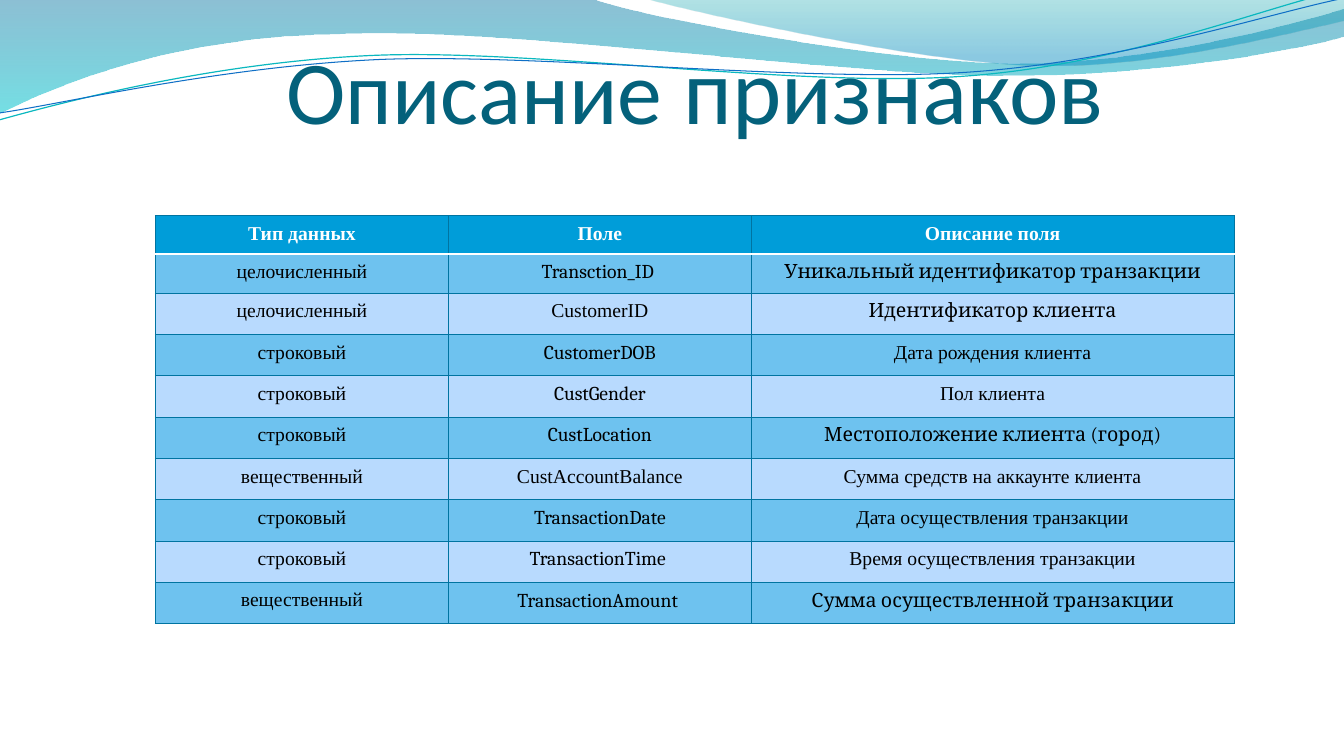
from lxml import etree
from pptx import Presentation
from pptx.dml.color import RGBColor
from pptx.enum.text import MSO_ANCHOR, MSO_AUTO_SIZE, PP_ALIGN
from pptx.oxml.ns import qn
from pptx.util import Inches, Pt

CENTER = PP_ALIGN.CENTER
BOTTOM = MSO_ANCHOR.BOTTOM
NO_AUTOFIT = MSO_AUTO_SIZE.NONE

WHITE = RGBColor(0xFF, 0xFF, 0xFF)
BLACK = RGBColor(0x00, 0x00, 0x00)
TITLE_BLUE = RGBColor(0x04, 0x61, 0x7B)
HEADER_BLUE = RGBColor(0x00, 0x9D, 0xD9)
DARK_BAND = RGBColor(0x6E, 0xC2, 0xEF)
LIGHT_BAND = RGBColor(0xB8, 0xDA, 0xFE)
BORDER_BLUE = RGBColor(0x00, 0x74, 0xA1)
CYAN = RGBColor(0x00, 0xC6, 0xCF)
TEAL = RGBColor(0x00, 0xA1, 0xA9)
SKY = RGBColor(0x00, 0x8B, 0xBF)
TEAL_LINE = RGBColor(0x0A, 0xB8, 0xBF)
BLUE_LINE = RGBColor(0x0F, 0x6F, 0xC6)

SERIF = "Times New Roman"
CAMBRIA = "Cambria"

TITLE_PARTS = [("Описание", 64), (" признаков", 67)]
HEADER = ("Тип данных", "Поле", "Описание поля")
FIELDS = [
    ("целочисленный", "Transction_ID ", "Уникальный идентификатор транзакции"),
    ("целочисленный", "CustomerID", "Идентификатор клиента"),
    ("строковый", "CustomerDOB", "Дата рождения клиента"),
    ("строковый", "CustGender", "Пол клиента"),
    ("строковый", "CustLocation", "Местоположение клиента (город)"),
    ("вещественный", "CustAccountBalance", "Сумма средств на аккаунте клиента"),
    ("строковый", "TransactionDate", "Дата осуществления транзакции"),
    ("строковый", "TransactionTime ", "Время осуществления транзакции"),
    ("вещественный", "TransactionAmount ", "Сумма осуществленной транзакции"),
]
# Rows set in Cambria, by column
CAMBRIA_ROWS = {0: (), 1: (1, 3, 4, 5, 7, 8, 9), 2: (1, 2, 5, 9)}
COLUMN_WIDTHS = (2.91, 3, 4.79)
ROW_HEIGHTS = (0.38, 0.39) + (0.41,) * 8
CELL_MARGINS = {"margin_left": 0.13, "margin_right": 0.13,
                "margin_top": 0.07, "margin_bottom": 0.07}

# A pair is a straight step; six numbers are a Bezier step
WAVES = [
    {"start": (0, 0),
     "steps": [(5.87, -0.01), (6.34, 0.17, 8.85, 0.63, 10.11, 0.63),
               (11.37, 0.63, 12.78, 0.26, 13.33, 0.09), (13.35, 0.36),
               (13.11, 0.44, 11.6, 0.76, 9.94, 0.75),
               (8.29, 0.75, 5.09, 0.28, 3.43, 0.34),
               (1.72, 0.36, 0.61, 0.83, -0.01, 1.13), (0, 0)],
     "stops": [(0, BORDER_BLUE, 45), (1, CYAN, 55)]},
    {"start": (6.39, -0.01),
     "steps": [(6.79, 0.11, 9.09, 0.62, 10.25, 0.65),
               (11.41, 0.69, 12.82, 0.32, 13.33, 0.21), (13.33, 0),
               (6.39, -0.01)],
     "stops": [(0, TEAL, 30), (0.8, SKY, 45)]},
    {"start": (-0.01, 1.19),
     "steps": [(0.64, 1.01, 2.11, 0.62, 3.69, 0.55),
               (5.27, 0.48, 7.89, 0.87, 9.5, 0.76),
               (11.1, 0.66, 12.51, 0.08, 13.31, -0.1)],
     "line": (TEAL_LINE, 0.85)},
    {"start": (0, 1.12),
     "steps": [(0.63, 1.03, 2.18, 0.66, 3.78, 0.59),
               (5.37, 0.53, 7.96, 0.82, 9.55, 0.72),
               (11.15, 0.62, 12.55, 0.14, 13.34, -0.02)],
     "line": (BLUE_LINE, 0.75)},
]


def set_all(target, values):
    for name, value in values.items():
        setattr(target, name, value)


def bend(shape, steps):
    """Join the three straight segments of each Bezier step into one curve."""
    segments = iter(shape._element.spPr.findall(".//" + qn("a:lnTo")))
    for step in steps:
        first = next(segments)
        if len(step) == 6:
            first.tag = qn("a:cubicBezTo")
            for _ in range(2):
                extra = next(segments)
                first.append(extra[0])
                extra.getparent().remove(extra)


def fill_gradient(shape, stops):
    """Fill from top to bottom with (position, colour, opacity) stops."""
    shape.fill.gradient()
    shape.fill.gradient_angle = 270
    for stop, (position, color, _) in zip(shape.fill.gradient_stops, stops):
        stop.position = position
        stop.color.rgb = color
    colors = shape._element.spPr.findall(".//" + qn("a:srgbClr"))
    for element, (_, _, opacity) in zip(colors, stops):
        etree.SubElement(element, qn("a:alpha"), val=str(opacity * 1000))


def add_wave(page, wave):
    x, y = wave["start"]
    points = [(Inches(step[i]), Inches(step[i + 1]))
              for step in wave["steps"] for i in range(0, len(step), 2)]
    filled = "stops" in wave
    builder = page.shapes.build_freeform(Inches(x), Inches(y))
    builder.add_line_segments(points, close=filled)
    shape = builder.convert_to_shape()
    bend(shape, wave["steps"])
    shape.shadow.inherit = False
    if filled:
        shape.line.fill.background()
        fill_gradient(shape, wave["stops"])
    else:
        color, width = wave["line"]
        shape.fill.background()
        shape.line.color.rgb = color
        shape.line.width = Pt(width)


def add_border(cell, side, color, width):
    line = etree.SubElement(cell._tc.get_or_add_tcPr(), qn("a:ln" + side),
                            w=str(Pt(width)))
    fill = etree.SubElement(line, qn("a:solidFill"))
    etree.SubElement(fill, qn("a:srgbClr"), val=str(color))


def format_cell(cell, text, row, column):
    is_header = row == 0
    for side in "LRTB":
        under_header = (row, side) in ((0, "B"), (1, "T"))
        add_border(cell, side, *((WHITE, 2) if under_header else (BORDER_BLUE, 0.75)))
    cell.fill.solid()
    band = DARK_BAND if row % 2 else LIGHT_BAND
    cell.fill.fore_color.rgb = HEADER_BLUE if is_header else band
    set_all(cell, {name: Inches(size) for name, size in CELL_MARGINS.items()})
    para = cell.text_frame.paragraphs[0]
    para.alignment = CENTER
    span = para.add_run()
    span.text = text
    font_name = CAMBRIA if row in CAMBRIA_ROWS[column] else SERIF
    set_all(span.font, {"name": font_name, "size": Pt(14), "bold": is_header})
    span.font.color.rgb = WHITE if is_header else BLACK


def add_field_table(page):
    rows = [HEADER] + FIELDS
    table = page.shapes.add_table(
        len(rows), len(HEADER), Inches(1.54), Inches(2.14),
        Inches(sum(COLUMN_WIDTHS)), Inches(sum(ROW_HEIGHTS))).table
    for column, width in zip(table.columns, COLUMN_WIDTHS):
        column.width = Inches(width)
    for row, height in zip(table.rows, ROW_HEIGHTS):
        row.height = Inches(height)
    for row, texts in enumerate(rows):
        for column, text in enumerate(texts):
            format_cell(table.cell(row, column), text, row, column)


def format_title(page):
    title = page.shapes.title
    set_all(title, {"left": Inches(0.84), "top": Inches(0.1),
                    "width": Inches(12.11), "height": Inches(1.32)})
    frame = title.text_frame
    set_all(frame, {"auto_size": NO_AUTOFIT, "word_wrap": True,
                    "vertical_anchor": BOTTOM, "margin_left": 0, "margin_right": 0,
                    "margin_top": Inches(0.07), "margin_bottom": 0})
    para = frame.paragraphs[0]
    para.alignment = CENTER
    for text, size in TITLE_PARTS:
        span = para.add_run()
        span.text = text
        set_all(span.font, {"name": "Calibri", "size": Pt(size)})
        span.font.color.rgb = TITLE_BLUE
    page.shapes._spTree.append(title._element)  # bring in front of the waves


def main():
    deck = Presentation()
    set_all(deck, {"slide_width": Inches(13.33), "slide_height": Inches(7.5)})
    page = deck.slides.add_slide(deck.slide_layouts[5])
    for wave in WAVES:
        add_wave(page, wave)
    add_field_table(page)
    format_title(page)
    deck.save("out.pptx")


if __name__ == "__main__":
    main()
